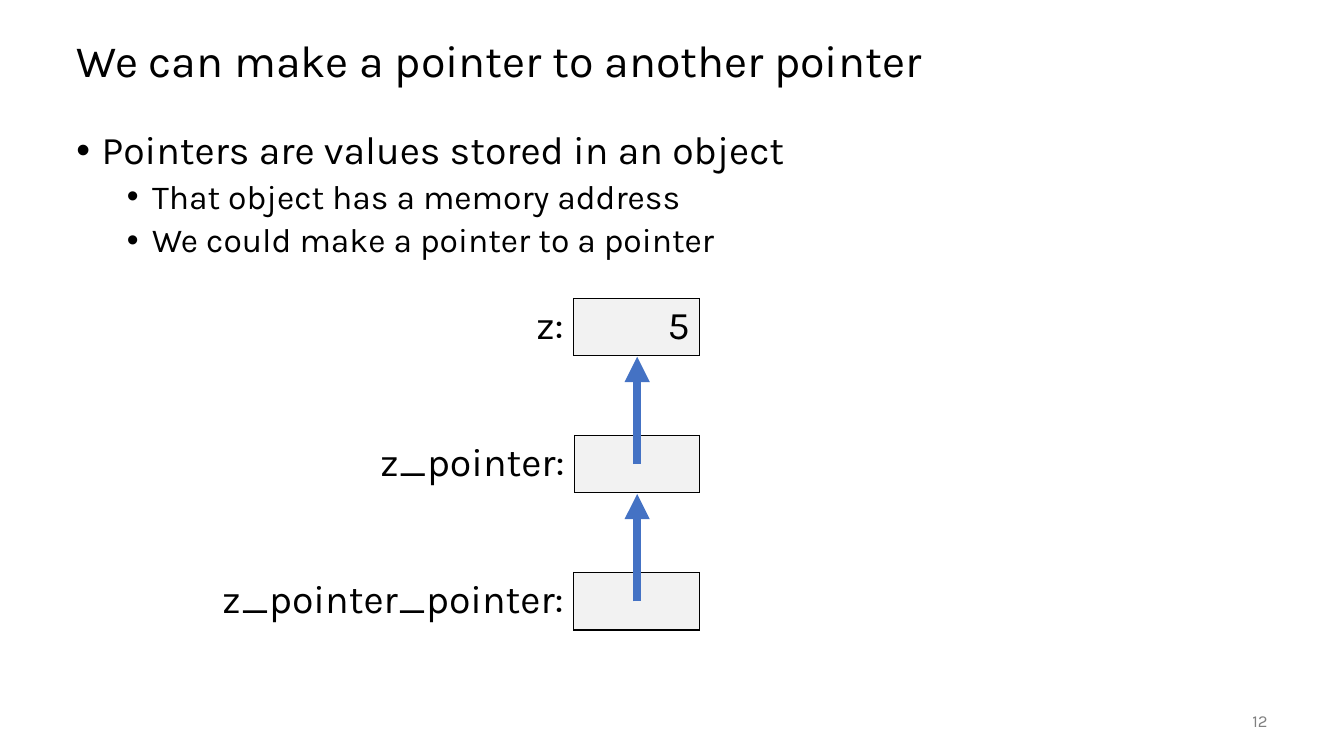
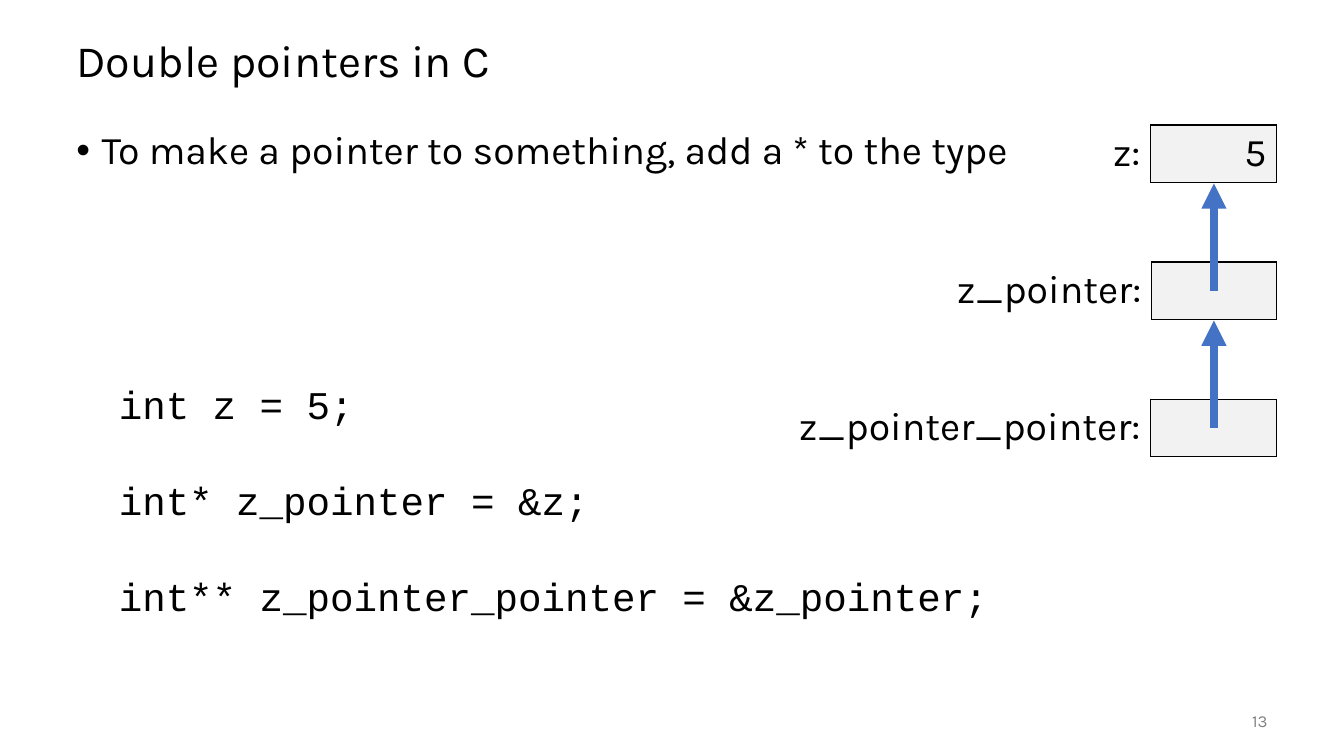
from lxml import etree
from pptx import Presentation, util as u
from pptx.dml.color import RGBColor
from pptx.enum import shapes, text
from pptx.oxml import ns

INK = {"text": "000000", "muted": "808080", "cell": "F2F2F2", "arrow": "4472C4"}
TITLE = {"name": "Karla", "size": 32}
LABEL = {"name": "Karla", "size": 28}
CODE = {"name": "Courier New", "size": 28}
FOOT = {"name": "Karla", "size": 12, "color": "muted"}
LEVELS = [  # left indent, size, space before
    (0.25, 28, 14),
    (0.75, 24, 5),
]
ROWS = [  # label, label width, box width, value
    ("z:", 1.25, 1.25, "5"),
    ("z_pointer:", 3.27, 1.24, ""),
    ("z_pointer_pointer:", 3.7, 1.25, ""),
]
CELL_H, PITCH = 0.57, 1.36
RIGHT = text.PP_ALIGN.RIGHT


def rgb(key):
    return RGBColor.from_string(INK[key])


def add(parent, tag, **attrs):
    return etree.SubElement(parent, ns.qn(tag), attrs)


def write(para, words, look, **form):
    """Put one styled run in a paragraph."""
    for key, val in form.items():
        setattr(para, key, val)
    run = para.add_run()
    run.text = words
    font = run.font
    for key, val in {**look, "size": u.Pt(look["size"])}.items():
        if key != "color":
            setattr(font, key, val)
    font.color.rgb = rgb(look.get("color", "text"))


def frame(slide, box, middle=False):
    body = slide.shapes.add_textbox(*map(u.Inches, box)).text_frame
    body.word_wrap = True
    if middle:
        body.vertical_anchor = text.MSO_ANCHOR.MIDDLE
    return body


def paras(body, items):
    """Yield a paragraph for each item, starting with the first one."""
    for num, item in enumerate(items):
        yield num, item, body.add_paragraph() if num else body.paragraphs[0]


def bullets(slide, box, items):
    for num, (level, words), para in paras(frame(slide, box), items):
        left, size, gap = LEVELS[level]
        props = para._p.get_or_add_pPr()
        props.set("marL", str(u.Inches(left)))
        props.set("indent", str(u.Inches(-0.25)))
        add(props, "a:buFont", typeface="Arial")
        add(props, "a:buChar", char="•")
        write(para, words, {**LABEL, "size": size}, level=level,
              line_spacing=0.9, space_before=u.Pt(gap if num else 0))


def code(slide, box, lines):
    for num, line, para in paras(frame(slide, box), lines):
        write(para, line, CODE, space_before=u.Pt(35 if num else 0))


def edge(cell, *sides):
    props = cell._tc.get_or_add_tcPr()
    for num, side in enumerate(sides):
        line = etree.Element(ns.qn("a:ln" + side), w=str(u.Pt(1)))
        add(add(line, "a:solidFill"), "a:srgbClr", val=INK["text"])
        props.insert(num, line)  # borders come before the fill


def variable(slide, right, top, row):
    """One label with its memory box, ending at the right edge."""
    label, wide, box, value = row
    grid = slide.shapes.add_table(
        1, 2, *map(u.Inches, (right - wide - box, top, wide + box, CELL_H))).table
    grid.first_row = grid.horz_banding = False
    for col, width in zip(grid.columns, (wide, box)):
        col.width = u.Inches(width)
    name, store = grid.cell(0, 0), grid.cell(0, 1)
    name.fill.background()
    store.fill.solid()
    store.fill.fore_color.rgb = rgb("cell")
    edge(name, "R")
    edge(store, "L", "R", "T", "B")
    for cell, words in ((name, label), (store, value)):
        write(cell.text_frame.paragraphs[0], words, LABEL, alignment=RIGHT)


def arrow(slide, x, start, end):
    link = slide.shapes.add_connector(
        shapes.MSO_CONNECTOR.STRAIGHT, *map(u.Inches, (x, start, x, end)))
    link.line.color.rgb = rgb("arrow")
    link.line.width = u.Pt(6)
    add(link.line._get_or_add_ln(), "a:tailEnd", type="triangle")
    add(link._element.spPr, "a:effectLst")


def memory(slide, right, top):
    """Stack of variables, each pointing to the one above."""
    for num, row in enumerate(ROWS):
        y = top + num * PITCH
        variable(slide, right, y, row)
        if num:
            arrow(slide, right - 0.62, y + CELL_H / 2, y - PITCH + CELL_H + 0.01)


def page(deck, number, title, items):
    """Title, bullets and page number shared by all slides."""
    slide = deck.slides.add_slide(deck.slide_layouts[6])
    write(frame(slide, (0.66, 0.25, 12, 0.75), True).paragraphs[0],
          title, TITLE, line_spacing=0.9)
    bullets(slide, (0.66, 1.25, 12, 5.5), items)
    write(frame(slide, (11.67, 6.95, 1, 0.4), True).paragraphs[0],
          str(number), FOOT, alignment=RIGHT)
    return slide


def main():
    deck = Presentation()
    deck.slide_width, deck.slide_height = u.Inches(13.33), u.Inches(7.5)

    # Pointer to a pointer
    slide = page(deck, 12, "We can make a pointer to another pointer", [
        (0, "Pointers are values stored in an object"),
        (1, "That object has a memory address"),
        (1, "We could make a pointer to a pointer"),
    ])
    memory(slide, 6.94, 2.96)

    # The same in C
    slide = page(deck, 13, "Double pointers in C", [
        (0, "To make a pointer to something, add a * to the type"),
    ])
    memory(slide, 12.66, 1.24)
    code(slide, (1.08, 3.72, 9.08, 2.46), [
        "int z = 5;",
        "int* z_pointer = &z;",
        "int** z_pointer_pointer = &z_pointer;",
    ])

    deck.save("out.pptx")


if __name__ == "__main__":
    main()
